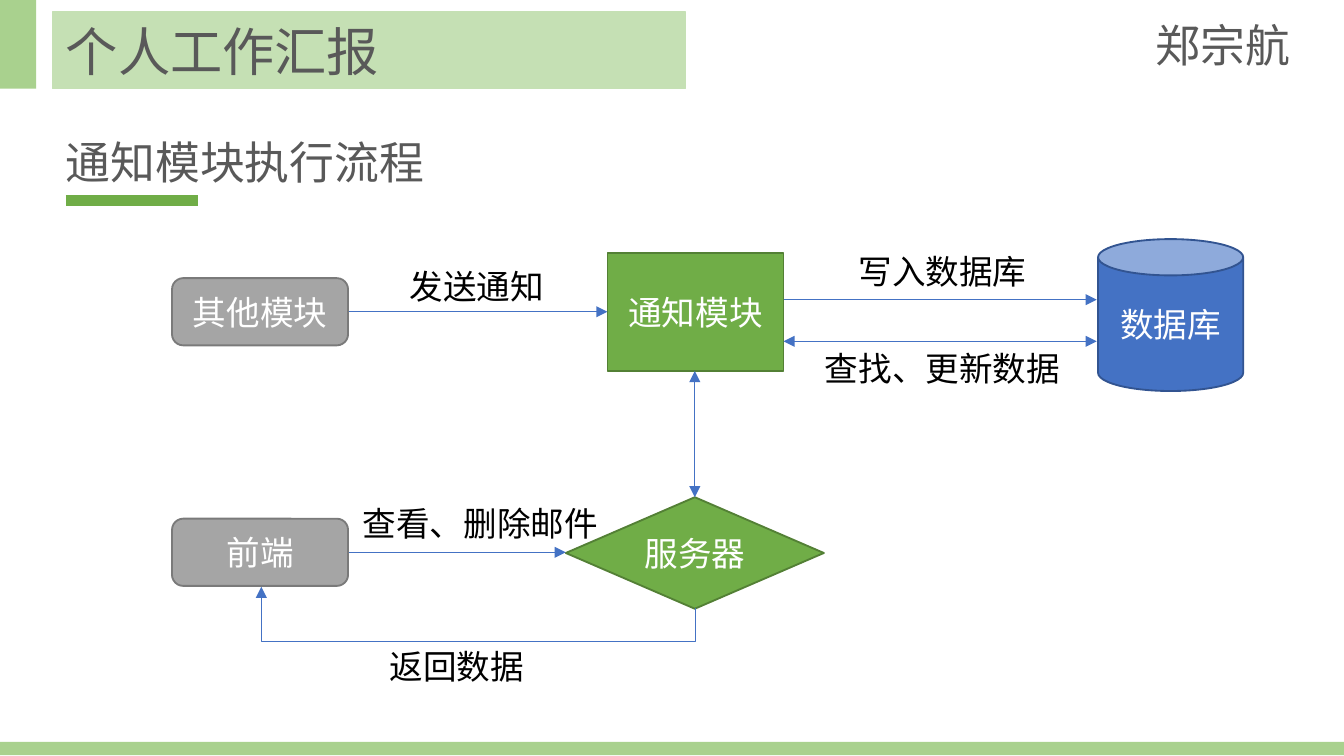
"""Build a slide showing the execution flow of the notification module."""
import pptx
import pptx.dml.color
import pptx.enum.shapes
import pptx.enum.text
import pptx.oxml.ns
import pptx.util
from lxml import etree

Inches = pptx.util.Inches
Pt = pptx.util.Pt
RGBColor = pptx.dml.color.RGBColor
Shape = pptx.enum.shapes.MSO_SHAPE
Connector = pptx.enum.shapes.MSO_CONNECTOR
Align = pptx.enum.text.PP_ALIGN
Anchor = pptx.enum.text.MSO_ANCHOR
qn = pptx.oxml.ns.qn

WHITE = RGBColor(0xFF, 0xFF, 0xFF)
BLACK = RGBColor(0x00, 0x00, 0x00)
DARK_GRAY = RGBColor(0x59, 0x59, 0x59)
GRAY = RGBColor(0xA5, 0xA5, 0xA5)
GRAY_EDGE = RGBColor(0x7A, 0x7A, 0x7A)
PALE_GREEN = RGBColor(0xC5, 0xE0, 0xB4)
LIGHT_GREEN = RGBColor(0xA9, 0xD1, 0x8E)
GREEN = RGBColor(0x70, 0xAD, 0x47)
GREEN_EDGE = RGBColor(0x53, 0x80, 0x35)
BLUE = RGBColor(0x44, 0x72, 0xC4)
BLUE_EDGE = RGBColor(0x32, 0x54, 0x91)
CJK_FONT = "Noto Sans CJK SC"


def write(shape, text, size, font, color, align=Align.LEFT, anchor=Anchor.TOP, wrap=True):
    frame = shape.text_frame
    frame.text = text
    frame.word_wrap = wrap
    frame.auto_size = pptx.enum.text.MSO_AUTO_SIZE.NONE
    frame.vertical_anchor = anchor
    para = frame.paragraphs[0]
    para.alignment = align
    para.font.size = Pt(size)
    para.font.name = font
    para.font.color.rgb = color
    defaults = para._p.pPr.find(qn("a:defRPr"))
    etree.SubElement(defaults, qn("a:ea"), typeface=CJK_FONT)


def connect(kind, start, end, color, width, ends=()):
    line = slide.shapes.add_connector(kind, *map(Inches, start + end))
    line.line.color.rgb = color
    line.line.width = Pt(width)
    for end_name in ends:
        etree.SubElement(line.line._get_or_add_ln(), qn(f"a:{end_name}"), type="triangle")
    etree.SubElement(line._element.spPr, qn("a:effectLst"))
    return line


deck = pptx.Presentation()
deck.slide_width = Inches(10)
deck.slide_height = deck.slide_width * 9 // 16
slide = deck.slides.add_slide(deck.slide_layouts[5])

for area in [(0, 0, 0.27, 0.66), (0, 5.52, 10, 0.1)]:
    band = slide.shapes.add_shape(Shape.RECTANGLE, *map(Inches, area))
    band.shadow.inherit = False
    band.fill.solid()
    band.fill.fore_color.rgb = LIGHT_GREEN
    band.line.fill.background()

title = slide.shapes.title
title.left, title.top, title.width, title.height = map(Inches, (0.39, 0.09, 4.71, 0.57))
title.fill.solid()
title.fill.fore_color.rgb = PALE_GREEN
title.line.color.rgb = PALE_GREEN
title.line.width = Pt(0.75)
write(title, "个人工作汇报", 28, CJK_FONT, DARK_GRAY)

for text, area in [
    ("通知模块执行流程", (0.39, 0.95, 7.73, 0.5)),
    ("郑宗航", (8.5, 0.08, 1.21, 0.5)),
]:
    heading = slide.shapes.add_textbox(*map(Inches, area))
    write(heading, text, 24, "Arial", DARK_GRAY)

connect(Connector.STRAIGHT, (0.49, 1.49), (1.47, 1.49), GREEN, 6)

for text, kind, area, fill, edge in [
    ("其他模块", Shape.ROUNDED_RECTANGLE, (1.28, 2.07, 1.31, 0.5), GRAY, GRAY_EDGE),
    ("通知模块", Shape.FLOWCHART_PROCESS, (4.52, 1.88, 1.31, 0.88), GREEN, GREEN_EDGE),
    ("数据库", Shape.CAN, (8.17, 1.78, 1.08, 1.13), BLUE, BLUE_EDGE),
    ("前端", Shape.ROUNDED_RECTANGLE, (1.28, 3.86, 1.31, 0.5), GRAY, GRAY_EDGE),
    ("服务器", Shape.FLOWCHART_DECISION, (4.21, 3.7, 1.92, 0.83), GREEN, GREEN_EDGE),
]:
    node = slide.shapes.add_shape(kind, *map(Inches, area))
    node.shadow.inherit = False
    node.fill.solid()
    node.fill.fore_color.rgb = fill
    node.line.color.rgb = edge
    node.line.width = Pt(1)
    write(node, text, 18, "Calibri", WHITE, Align.CENTER, Anchor.MIDDLE)

one_way = ["tailEnd"]
two_way = ["headEnd", "tailEnd"]
for start, end, ends in [
    ((2.6, 2.32), (4.52, 2.32), one_way),
    ((5.83, 2.23), (8.16, 2.23), one_way),
    ((5.83, 2.54), (8.16, 2.54), two_way),
    ((5.17, 3.7), (5.17, 2.76), two_way),
    ((2.6, 4.11), (4.21, 4.11), one_way),
]:
    connect(Connector.STRAIGHT, start, end, BLUE, 0.5, ends)

return_path = connect(Connector.ELBOW, (3.64, 2.83), (3.48, 6.06), BLUE, 0.5, one_way)
properties = return_path._element.spPr
properties.find(qn("a:xfrm")).set("rot", str(90 * 60000))
adjustments = properties.find(qn("a:prstGeom")).find(qn("a:avLst"))
etree.SubElement(adjustments, qn("a:gd"), name="adj1", fmla="val -154500")

for text, left, top, width in [
    ("写入数据库", 6.29, 1.82, 1.46),
    ("发送通知", 2.95, 1.93, 1.21),
    ("查找、更新数据", 6.04, 2.54, 1.97),
    ("查看、删除邮件", 2.6, 3.69, 1.97),
    ("返回数据", 2.8, 4.76, 1.21),
]:
    label = slide.shapes.add_textbox(*map(Inches, (left, top, width, 0.4)))
    write(label, text, 18, "Calibri", BLACK, wrap=False)

deck.save("out.pptx")
